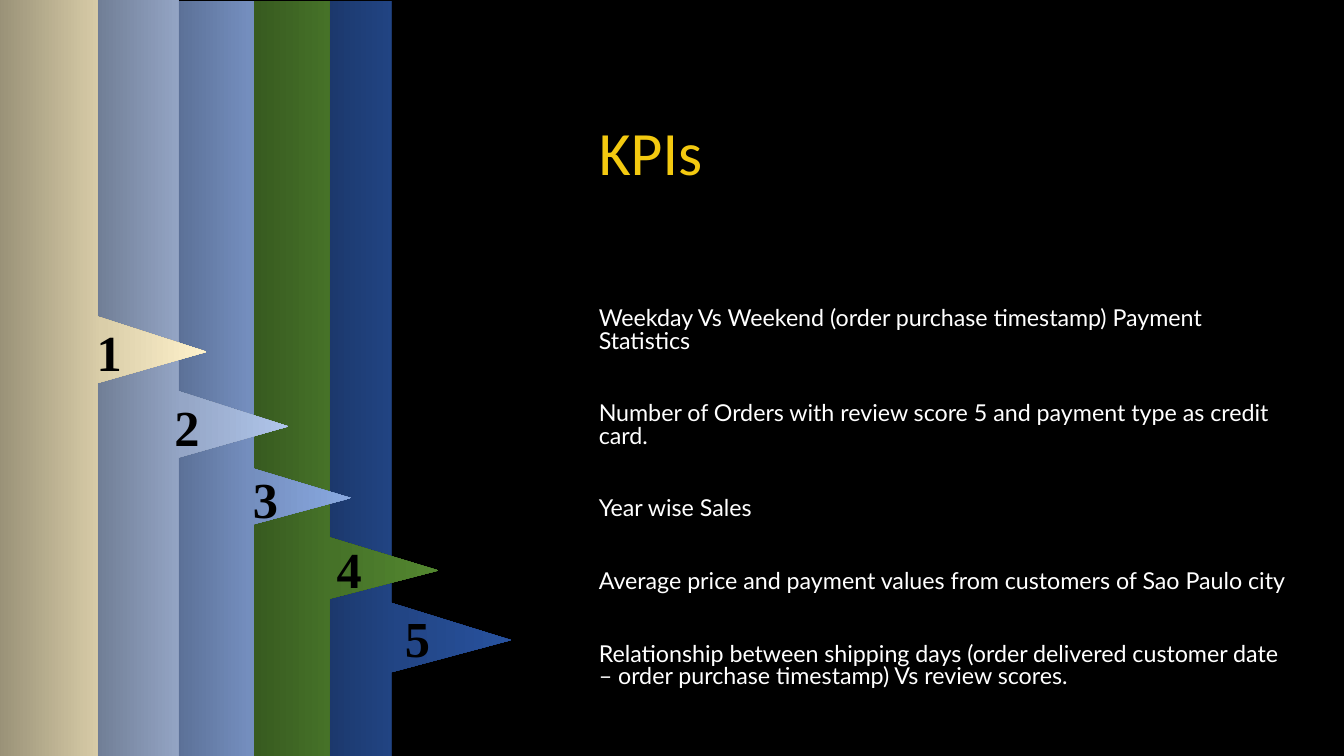
from copy import deepcopy

from pptx import Presentation
from pptx.dml.color import RGBColor
from pptx.enum.text import MSO_ANCHOR, MSO_AUTO_SIZE, PP_ALIGN
from pptx.oxml.ns import qn
from pptx.util import Pt

SLIDE_WIDTH, SLIDE_HEIGHT = 960, 540

# number: left, edge, tip x, top, notch top, tip y, notch bottom, label place, gradient
RIBBONS = {
    "5": (205.9, 279.4, 365, 0.7, 430.6, 457.2, 480.2, (282.2, 429.8), ("18315E", "224585", "28529E")),
    "4": (159.1, 235.4, 313.2, 0.7, 383.8, 407.5, 427.7, (233.3, 380.9), ("31501C", "467228", "538730")),
    "3": (105.8, 181.4, 250.6, 0.7, 334.8, 355.7, 374.4, (173.5, 330.5), ("516486", "748EBE", "89A9E1")),
    "2": (55.4, 127.4, 205.9, 0, 279.4, 304.6, 326.9, (117.4, 279.4), ("68758B", "95A6C6", "B0C6EB")),
    "1": (-1.4, 69.8, 147.6, 0, 226.1, 251.3, 273.6, (61.9, 226.1), ("999177", "DACEA9", "FFF2CC")),
}

KPIS = [
    "Weekday Vs Weekend (order purchase timestamp) Payment Statistics",
    "Number of Orders with review score 5 and payment type as credit card.",
    "Year wise Sales",
    "Average price and payment values from customers of Sao Paulo city",
    "Relationship between shipping days (order delivered customer date – order purchase timestamp) Vs review scores.",
]


def colour(value):
    return RGBColor.from_string(value)


def write(para, text, *, font, size, hue, bold=False, line=1.0, before=0):
    para.alignment = PP_ALIGN.LEFT
    para.line_spacing = line
    para.space_before = Pt(before)
    span = para.add_run()
    span.text = text
    span.font.name = font
    span.font.size = Pt(size)
    span.font.bold = bold
    span.font.color.rgb = colour(hue)


def place(box, left, top, width, height):
    box.left, box.top, box.width, box.height = Pt(left), Pt(top), Pt(width), Pt(height)


def remove_bullet(para):
    properties = para._p.get_or_add_pPr()
    properties.set("marL", "0")
    properties.set("indent", "0")
    properties.append(properties.makeelement(qn("a:buNone"), {}))


def fill_gradient(shape, hues):
    shape.fill.gradient()
    shape.fill.gradient_angle = 0
    stop_list = shape._element.spPr.find(qn("a:gradFill")).find(qn("a:gsLst"))
    stop_list.append(deepcopy(stop_list[-1]))
    for stop, hue, position in zip(shape.fill.gradient_stops, hues, (0, 0.5, 1)):
        stop.color.rgb = colour(hue)
        stop.position = position


def add_ribbon(page, number, left, edge, tip, top, notch_top, tip_height, notch_bottom, label_place, hues):
    group = page.shapes.add_group_shape()
    outline = [(edge, top), (edge, notch_top), (tip, tip_height),
               (edge, notch_bottom), (edge, SLIDE_HEIGHT), (left, SLIDE_HEIGHT)]
    builder = group.shapes.build_freeform(Pt(left), Pt(top))
    builder.add_line_segments([(Pt(x), Pt(y)) for x, y in outline], close=True)
    ribbon = builder.convert_to_shape()
    ribbon.shadow.inherit = False
    ribbon.line.fill.background()
    fill_gradient(ribbon, hues)

    label = group.shapes.add_textbox(0, 0, 0, 0)
    place(label, *label_place, 68.4, 51)
    label.text_frame.word_wrap = True
    write(label.text_frame.paragraphs[0], number,
          font="Times New Roman", size=36, hue="000000", bold=True)


def add_title(page, text):
    title = page.shapes.title
    place(title, 420.5, 12.2, 309.6, 126)
    title.text_frame.vertical_anchor = MSO_ANCHOR.BOTTOM
    title.text_frame.auto_size = MSO_AUTO_SIZE.NONE
    write(title.text_frame.paragraphs[0], text, font="Calibri", size=44, hue="F3C910", line=0.9)


def add_list(page, items):
    body = page.placeholders[1]
    place(body, 420.5, 164.2, 511.9, 329)
    frame = body.text_frame
    frame.auto_size = MSO_AUTO_SIZE.NONE
    frame.vertical_anchor = MSO_ANCHOR.TOP
    frame.margin_top = Pt(56.5)
    for index, item in enumerate(items):
        para = frame.add_paragraph() if index else frame.paragraphs[0]
        write(para, item, font="Lato", size=16.6, hue="FFFFFF", line=0.8, before=36 if index else 0)
        remove_bullet(para)


def main():
    deck = Presentation()
    deck.slide_width, deck.slide_height = Pt(SLIDE_WIDTH), Pt(SLIDE_HEIGHT)
    page = deck.slides.add_slide(deck.slide_layouts[1])
    page.background.fill.solid()
    page.background.fill.fore_color.rgb = colour("000000")
    for number, ribbon in RIBBONS.items():
        add_ribbon(page, number, *ribbon)
    add_title(page, "KPIs")
    add_list(page, KPIS)
    deck.save("out.pptx")


if __name__ == "__main__":
    main()
